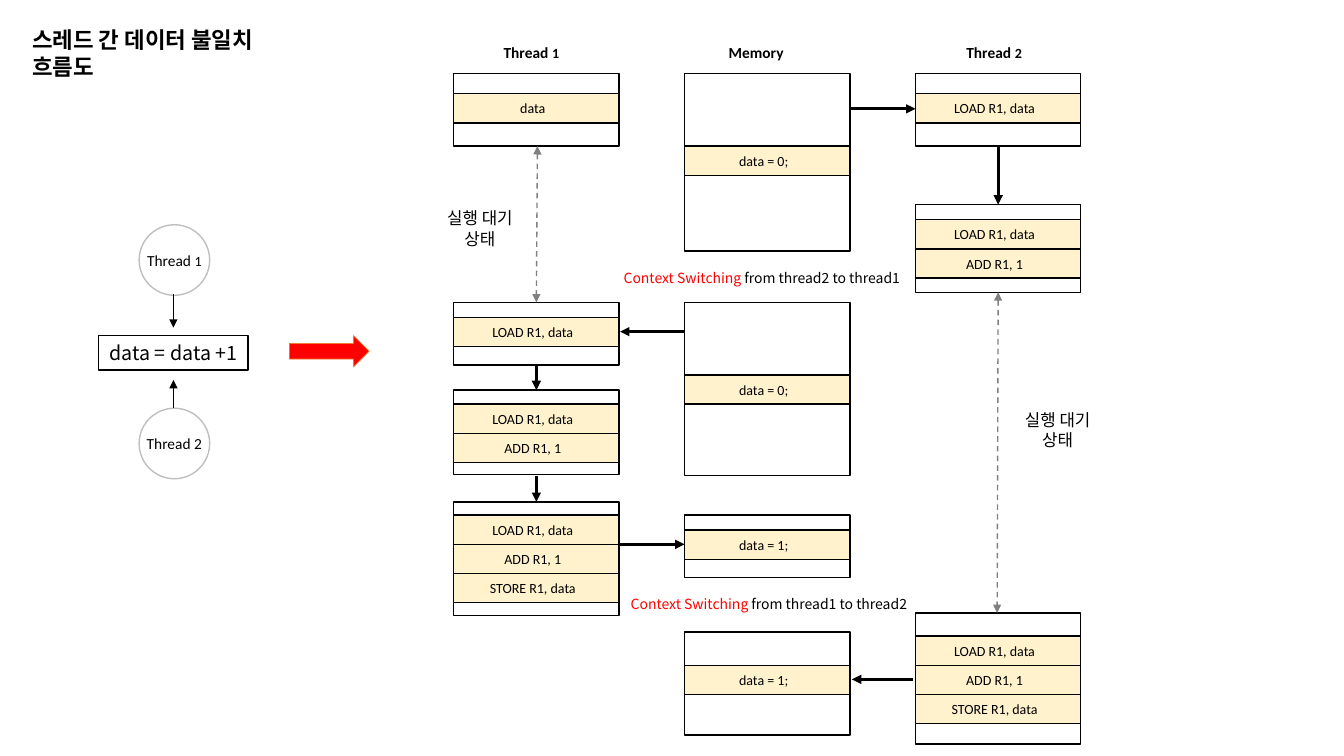
"""Builds the slide on data inconsistency between two threads."""
from lxml.etree import SubElement
from pptx import Presentation
from pptx.dml.color import RGBColor
from pptx.enum.dml import MSO_LINE_DASH_STYLE as Dash
from pptx.enum.shapes import MSO_CONNECTOR, MSO_SHAPE as Shape
from pptx.enum.text import MSO_ANCHOR as Anchor, PP_ALIGN as Align
from pptx.oxml.ns import qn
from pptx.util import Inches, Pt

COLORS = {"ink": "000000", "paper": "FFFFFF", "band": "FFF2CC", "red": "FF0000",
          "orange": "ED7D31", "ring": "BFBFBF", "wait": "808080"}
LATIN, KOREAN = "Calibri", "Noto Sans CJK KR"

TITLE = "스레드 간 데이터 불일치 흐름도"
LOAD, ADD, STORE = "LOAD R1, data", "ADD R1, 1", "STORE R1, data"
COLUMN_LEFT, COLUMN_STEP, COLUMN_WIDTH, BAND_HEIGHT = 4.5, 2.29, 1.64, 0.29

# column: (top, height, offset of first band, band lines)
STACKS = [
    [(0.73, 0.72, 0.2, ["data"]), (3, 0.62, 0.15, [LOAD]),
     (3.87, 0.84, 0.14, [LOAD, ADD]), (4.98, 1.13, 0.13, [LOAD, ADD, STORE])],
    [(0.73, 1.76, 0.72, ["data = 0;"]), (3, 1.72, 0.72, ["data = 0;"]),
     (5.11, 0.62, 0.15, ["data = 1;"]), (6.27, 1.02, 0.33, ["data = 1;"])],
    [(0.73, 0.72, 0.2, [LOAD]), (2.03, 0.87, 0.15, [LOAD, ADD]),
     (6.08, 1.3, 0.23, [LOAD, ADD, STORE])],
]
HEADERS = [(4.89, [("Thread ", 11), ("1", 10)]), (7.12, [("Memory", 11)]),
           (9.48, [("Thread ", 11), ("2", 10)])]
CIRCLES = [(2.23, [("Thread ", 11), ("1", 10)]), (4.05, [("Thread 2", 11)])]
SWITCHES = [(6.08, 2.62, "from thread2 to thread1"), (6.15, 5.86, "from thread1 to thread2")]
WAITS = [(4.17, 2.01), (9.9, 4.01)]
WAIT_TEXT = "실행 대기 상태"

FLOWS = [(8.44, 1.08, 9.08, 1.08), (6.79, 3.29, 6.15, 3.29), (9.9, 1.45, 9.9, 2.03),
         (5.32, 3.62, 5.32, 3.87), (5.32, 4.72, 5.32, 4.98), (6.15, 5.4, 6.79, 5.4),
         (9.06, 6.74, 8.45, 6.74)]
WAIT_LINES = [(9.9, 2.9, 9.89, 6.08), (5.33, 1.45, 5.32, 3)]
THREAD_LINES = [(1.72, 2.92, 1.72, 3.25), (1.72, 4.05, 1.72, 3.77)]


def rgb(name):
    return RGBColor.from_string(COLORS[name])


def write(box, runs, font=LATIN, align=Align.CENTER, anchor=Anchor.MIDDLE, wrap=False, **frame):
    text = box.text_frame
    values = {"word_wrap": wrap, "vertical_anchor": anchor, "margin_left": Inches(0.1),
              "margin_right": Inches(0.1), "margin_top": Inches(0.05),
              "margin_bottom": Inches(0.05), **frame}
    for name, value in values.items():
        setattr(text, name, value)
    para = text.paragraphs[0]
    para.alignment = align
    if font == KOREAN:
        para.line_spacing = Pt(round(runs[0][1] * 1.22, 1))
    for words, size, color, bold in runs:
        span = para.add_run()
        span.text = words
        for name, value in {"size": Pt(size), "bold": bold, "name": font}.items():
            setattr(span.font, name, value)
        span.font.color.rgb = rgb(color)
        if font == KOREAN:
            SubElement(span.font._element, qn("a:ea"), typeface=font)


def add_box(page, kind, place, fill="paper", line="ink", width=1):
    box = page.shapes.add_shape(kind, *map(Inches, place))
    box.shadow.inherit = False
    box.fill.solid()
    box.fill.fore_color.rgb = rgb(fill)
    box.line.color.rgb = rgb(line)
    box.line.width = Pt(width)
    return box


def add_label(page, place, runs, **layout):
    write(page.shapes.add_textbox(*map(Inches, place)), runs, **layout)


def add_arrow(page, ends, color, width, heads=("tailEnd",), dash=None):
    arrow = page.shapes.add_connector(MSO_CONNECTOR.STRAIGHT, *map(Inches, ends))
    arrow.line.color.rgb = rgb(color)
    arrow.line.width = Pt(width)
    if dash:
        arrow.line.dash_style = dash
    for head in heads:
        SubElement(arrow.line._get_or_add_ln(), qn(f"a:{head}"), type="triangle")
    SubElement(arrow._element.spPr, qn("a:effectLst"))


def add_stack(page, left, top, height, offset, lines):
    add_box(page, Shape.RECTANGLE, (left, top, COLUMN_WIDTH, height))
    for row, line in enumerate(lines):
        place = (left, top + offset + row * BAND_HEIGHT, COLUMN_WIDTH, BAND_HEIGHT)
        band = add_box(page, Shape.RECTANGLE, place, "band")
        write(band, [(line, 10, "ink", False)], margin_right=Inches(0.17),
              margin_top=0, margin_bottom=0)


def main():
    deck = Presentation()
    deck.slide_width, deck.slide_height = Inches(13.33), Inches(7.5)
    page = deck.slides.add_slide(deck.slide_layouts[5])

    title = page.shapes.title
    for name, value in {"left": 0.22, "top": 0.2, "width": 3.05, "height": 0.37}.items():
        setattr(title, name, Inches(value))
    write(title, [(TITLE, 16, "ink", True)], KOREAN, Align.LEFT, Anchor.TOP, True)

    for column, stacks in enumerate(STACKS):
        for stack in stacks:
            add_stack(page, COLUMN_LEFT + column * COLUMN_STEP, *stack)
    for left, parts in HEADERS:
        add_label(page, (left, 0.37, 0.76, 0.29), [(*part, "ink", True) for part in parts])

    formula = add_box(page, Shape.RECTANGLE, (0.98, 3.33, 1.48, 0.34))
    write(formula, [("data = data +1", 14, "ink", False)], KOREAN)
    add_box(page, Shape.RIGHT_ARROW, (2.87, 3.33, 0.79, 0.31), "red", "orange", 0.5)
    for top, parts in CIRCLES:
        circle = add_box(page, Shape.OVAL, (1.38, top, 0.7, 0.7), line="ring")
        write(circle, [(*part, "ink", False) for part in parts], margin_left=0, margin_right=0)

    for ends in FLOWS:
        add_arrow(page, ends, "ink", 2.25)
    for ends in WAIT_LINES:
        add_arrow(page, ends, "wait", 1, ("headEnd", "tailEnd"), Dash.DASH)
    for ends in THREAD_LINES:
        add_arrow(page, ends, "ink", 0.5)

    for left, top, direction in SWITCHES:
        runs = [("Context Switching ", 10, "red", False), (direction, 10, "ink", False)]
        add_label(page, (left, top, 2.95, 0.27), runs, font=KOREAN)
    for left, top in WAITS:
        add_label(page, (left, top, 1.18, 0.3), [(WAIT_TEXT, 12, "ink", False)],
                  font=KOREAN, anchor=Anchor.TOP, wrap=True)

    deck.save("out.pptx")


if __name__ == "__main__":
    main()
